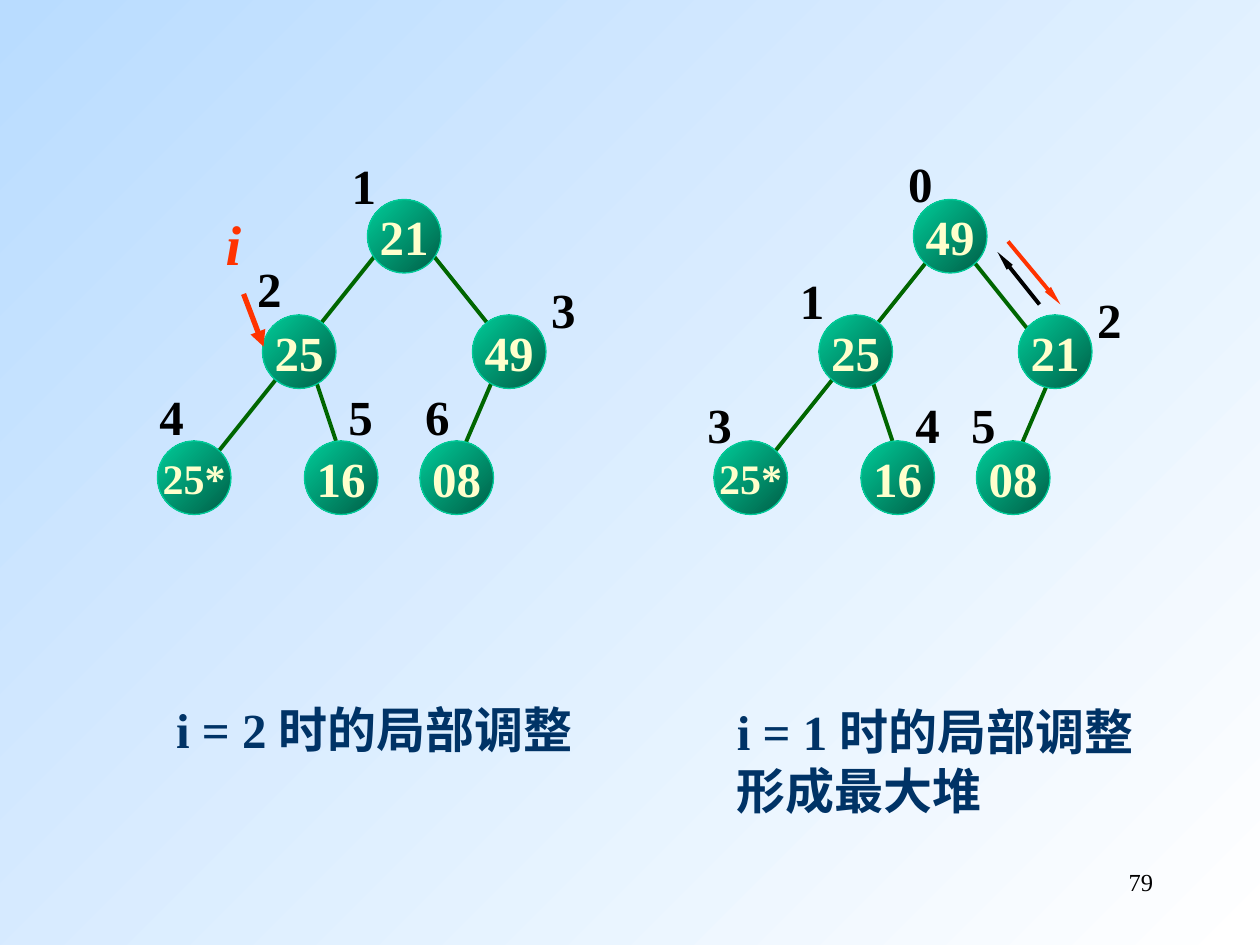
from lxml import etree
from pptx import Presentation
from pptx import util as u
from pptx.dml.color import RGBColor
from pptx.enum import shapes, text
from pptx.oxml.ns import qn

WHITE = RGBColor(0xFF, 0xFF, 0xFF)
SKY = RGBColor(0xB9, 0xDC, 0xFF)
DEEP_GREEN = RGBColor(0x00, 0x5E, 0x46)
GREEN = RGBColor(0x00, 0xCC, 0x99)
EDGE = RGBColor(0x00, 0x66, 0x00)
CREAM = RGBColor(0xFF, 0xFF, 0xCC)
BLACK = RGBColor(0, 0, 0)
RED = RGBColor(0xFF, 0x33, 0x00)
NAVY = RGBColor(0x00, 0x33, 0x66)

prs = Presentation()
prs.slide_width, prs.slide_height = u.Inches(10), u.Inches(7.5)
s = prs.slides.add_slide(prs.slide_layouts[6])

# Grid of 120 columns by 90 rows; a node is 7 cells across
CELL = prs.slide_width / 120
NODE = 7


def add_line(x1, y1, x2, y2, color, width, head=None):
    ends = [round(v * CELL) for v in (x1, y1, x2, y2)]
    line = s.shapes.add_connector(shapes.MSO_CONNECTOR.STRAIGHT, *ends)
    line.line.color.rgb = color
    line.line.width = u.Pt(width)
    if head:
        etree.SubElement(line.line._ln, qn("a:tailEnd"),
                         type="triangle", w=head[0], len=head[1])
    etree.SubElement(line._element.spPr, qn("a:effectLst"))


def add_text(sp, lines, size, color, align, wrap=False, bold=True, italic=False):
    tf = sp.text_frame
    tf.word_wrap = wrap
    for i, words in enumerate(lines):
        p = tf.add_paragraph() if i else tf.paragraphs[0]
        p.alignment = align
        r = p.add_run()
        r.text = words
        r.font.name = "Times New Roman"
        r.font.size = u.Pt(size)
        r.font.bold, r.font.italic = bold, italic
        r.font.color.rgb = color


# Background, white at lower right
fill = s.background.fill
fill.gradient()
fill.gradient_angle = 135
for stop, color in zip(fill.gradient_stops, (WHITE, SKY)):
    stop.color.rgb = color

# Both heaps: edges by end points, nodes and index labels by top left corner
heaps = [
    {"edges": [(47, 36, 44, 43), (30, 36, 32, 42), (41, 24, 49, 34), (36, 24, 20, 44)],
     "nodes": [("21", 35, 19), ("25", 25, 30), ("25*", 15, 42),
               ("49", 45, 30), ("16", 29, 42), ("08", 40, 42)],
     "labels": [("1", 32.3, 14.2), ("2", 23.3, 24), ("3", 51.3, 26),
                ("4", 14, 36.2), ("5", 32, 36.2), ("6", 39.3, 36.2)]},
    {"edges": [(100, 36, 97, 43), (83, 36, 85, 42), (92, 24, 100, 34), (89, 24, 73, 44)],
     "nodes": [("49", 87, 19), ("25", 78, 30), ("25*", 68, 42),
               ("21", 97, 30), ("16", 82, 42), ("08", 93, 42)],
     "labels": [("0", 85.3, 14), ("1", 75, 25.2), ("2", 103.3, 27),
                ("3", 66.2, 37), ("4", 86, 37), ("5", 91.3, 37)]},
]
for heap in heaps:
    for edge in heap["edges"]:
        add_line(*edge, EDGE, 2.25)

    for value, col, row in heap["nodes"]:
        box = [round(v * CELL) for v in (col, row, NODE, NODE)]
        sp = s.shapes.add_shape(shapes.MSO_SHAPE.OVAL, *box)
        sp.shadow.inherit = False
        sp.fill.gradient()
        sp.fill.gradient_angle = 135
        for stop, color in zip(sp.fill.gradient_stops, (DEEP_GREEN, GREEN)):
            stop.color.rgb = color
        sp.line.color.rgb = GREEN
        sp.line.width = u.Pt(0.75)
        sp.text_frame.vertical_anchor = text.MSO_ANCHOR.MIDDLE
        add_text(sp, [value], 24 if "*" in value else 28, CREAM, text.PP_ALIGN.CENTER)

    for index, col, row in heap["labels"]:
        box = [round(v * CELL) for v in (col, row, 4.7, 6.8)]
        add_text(s.shapes.add_textbox(*box), [index], 28, BLACK, text.PP_ALIGN.LEFT)

# Pointer to the current node
box = [round(v * CELL) for v in (20.3, 19.4, 3.8, 7.7)]
add_text(s.shapes.add_textbox(*box), ["i"], 32, RED, text.PP_ALIGN.LEFT, italic=True)
add_line(23.2, 28, 25.1, 33, RED, 3, ("med", "med"))

# Swap arrows between root and right child
add_line(99, 29, 95, 24, BLACK, 2.25, ("sm", "lg"))
add_line(96, 23, 101, 29, RED, 2.25, ("sm", "lg"))

# Captions
captions = [(15.6, 66, 6.8, ["i = 2 时的局部调整"]),
            (69, 66.2, 12.5, ["i = 1 时的局部调整", "形成最大堆"])]
for col, row, height, lines in captions:
    box = [round(v * CELL) for v in (col, row, 41.3, height)]
    add_text(s.shapes.add_textbox(*box), lines, 28, NAVY, text.PP_ALIGN.LEFT, wrap=True)

# Page number
box = [round(v * CELL) for v in (86, 82, 25, 6)]
add_text(s.shapes.add_textbox(*box), ["79"], 14, BLACK, text.PP_ALIGN.RIGHT,
         wrap=True, bold=False)

prs.save("out.pptx")
